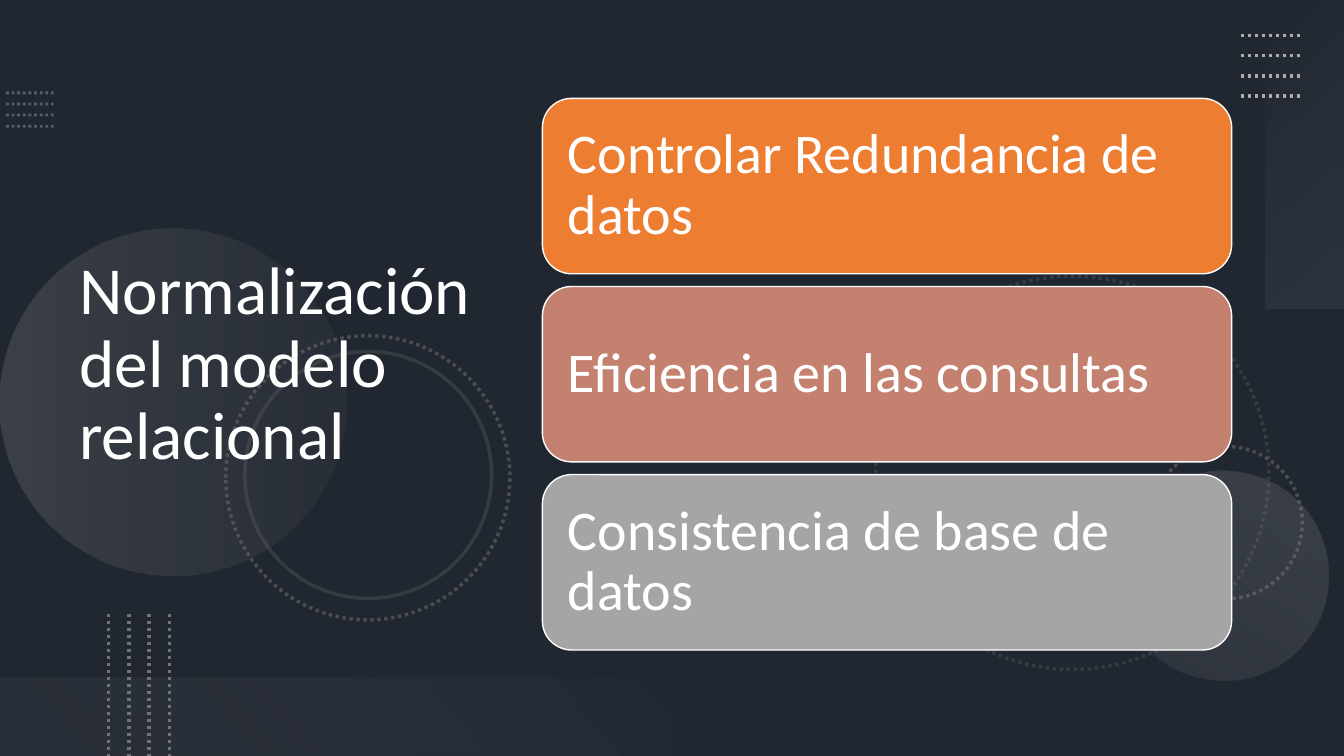
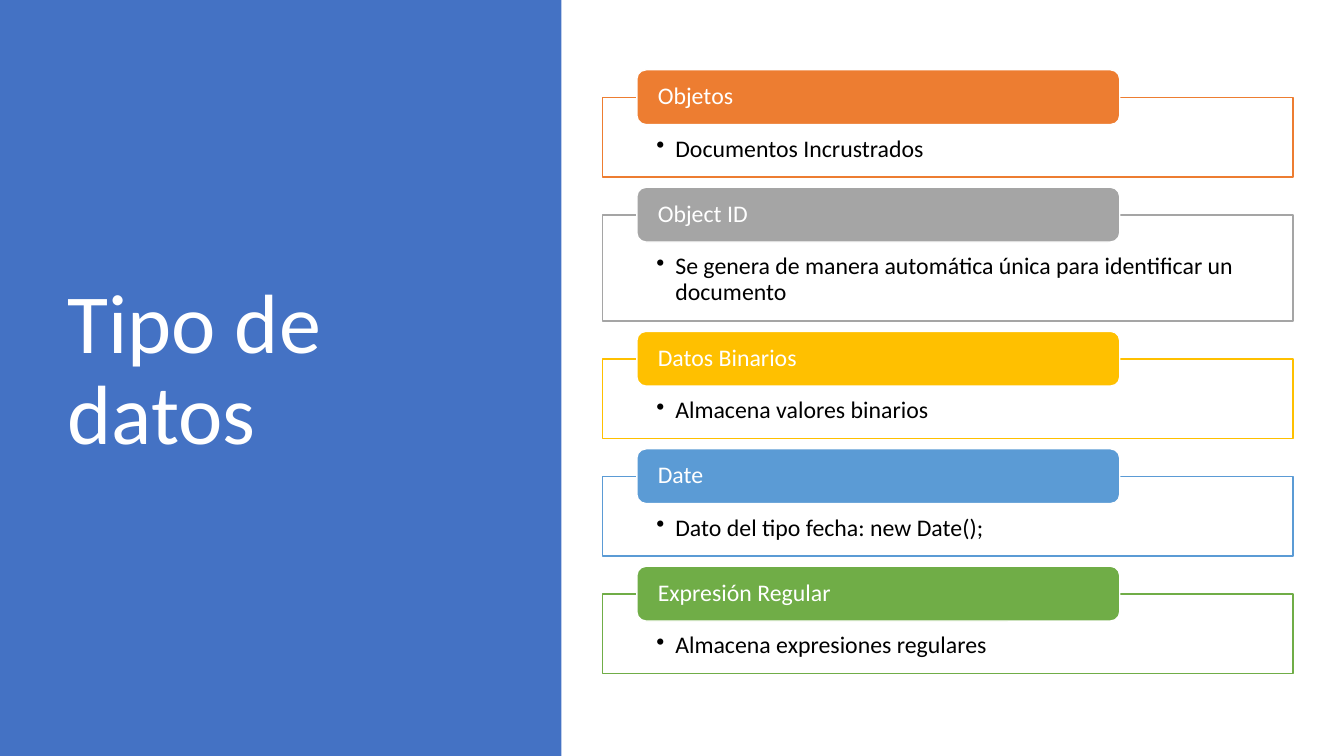
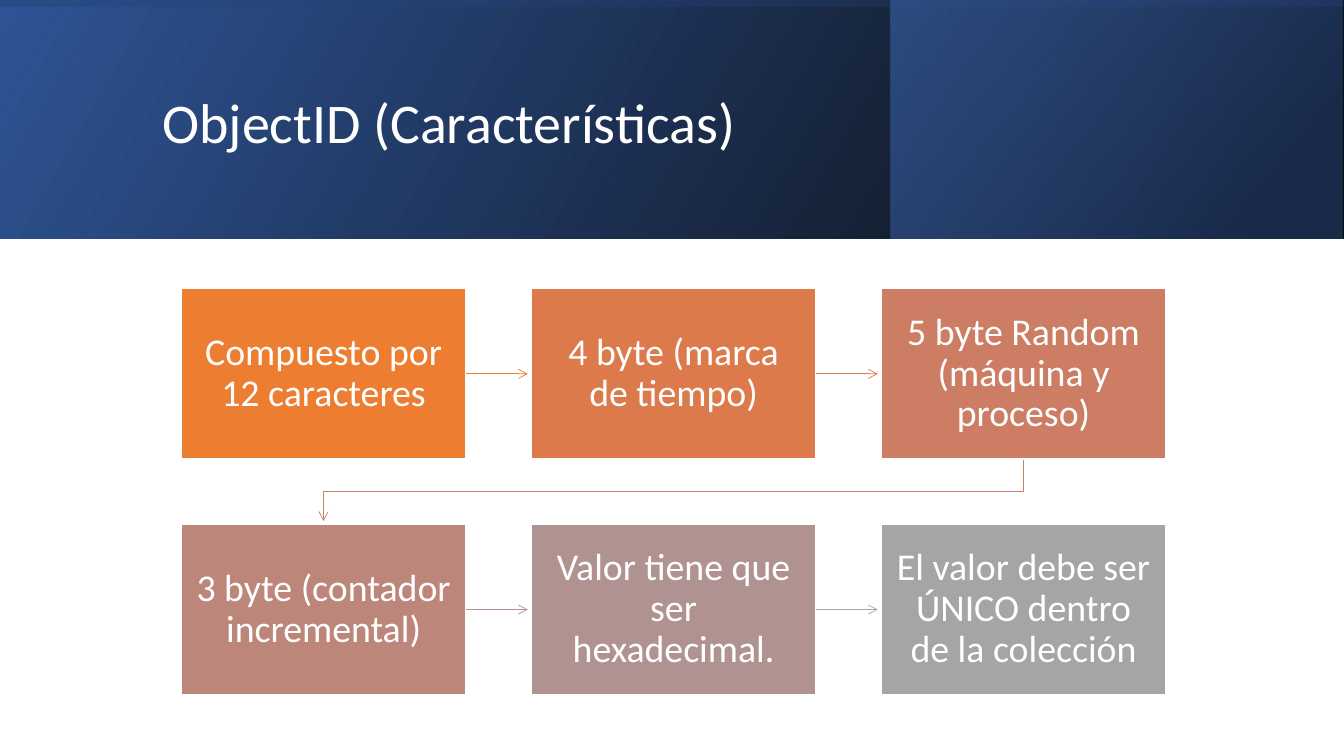
from dataclasses import dataclass

from lxml import etree
from pptx import Presentation
from pptx.dml.color import RGBColor
from pptx.enum.dml import MSO_LINE
from pptx.enum.shapes import MSO_CONNECTOR, MSO_SHAPE
from pptx.enum.text import MSO_ANCHOR, MSO_AUTO_SIZE, PP_ALIGN
from pptx.oxml.ns import qn
from pptx.util import Cm, Pt

DOTTED = MSO_LINE.ROUND_DOT
STRAIGHT = MSO_CONNECTOR.STRAIGHT
RECT = MSO_SHAPE.RECTANGLE
ROUND_RECT = MSO_SHAPE.ROUNDED_RECTANGLE
ELLIPSE = MSO_SHAPE.OVAL
TOP, MIDDLE = MSO_ANCHOR.TOP, MSO_ANCHOR.MIDDLE
LEFT, CENTER = PP_ALIGN.LEFT, PP_ALIGN.CENTER


@dataclass(frozen=True)
class Theme:
    font: str = "Calibri"
    width: float = 33.87
    height: float = 19.05
    white: str = "FFFFFF"
    black: str = "000000"
    slate: str = "44546A"
    haze: str = "8497B0"
    dark_gray: str = "767171"
    light_gray: str = "AFABAB"
    mist: str = "F5F5F5"
    blue: str = "4472C4"
    deep_blue: str = "2F5597"
    navy: str = "203864"
    orange: str = "ED7D31"
    clay: str = "C48170"
    gray: str = "A5A5A5"
    gold: str = "FFC000"
    sky: str = "5B9BD5"
    green: str = "70AD47"
    title_small: int = 40
    title_medium: int = 48
    title_large: int = 60
    card: int = 40
    step: int = 27
    item: int = 17


T = Theme()


def rgb(color):
    return RGBColor.from_string(color)


def fade(element, *alphas):
    for clr, alpha in zip(element.iter(qn("a:srgbClr")), alphas):
        etree.SubElement(clr, qn("a:alpha"), val=str(alpha * 1000))


def write(tf, text, size, color=T.white, align=LEFT, anchor=MIDDLE,
          margins=(0.25, 0.13, 0.25, 0.13), bullet=False):
    tf.word_wrap = True
    tf.auto_size = MSO_AUTO_SIZE.NONE
    tf.vertical_anchor = anchor
    tf.margin_left, tf.margin_top, tf.margin_right, tf.margin_bottom = map(Cm, margins)
    p = tf.paragraphs[0]
    p.alignment = align
    p.line_spacing = 0.9
    r = p.add_run()
    r.text = text
    r.font.name = T.font
    r.font.size = Pt(size)
    r.font.color.rgb = rgb(color)
    if bullet:
        pPr = p._p.get_or_add_pPr()
        pPr.set("marL", str(Cm(0.48)))
        pPr.set("indent", str(Cm(-0.48)))
        etree.SubElement(pPr, qn("a:buChar"), char="•")


class Deck:
    def __init__(self):
        self.prs = Presentation()
        self.prs.slide_width, self.prs.slide_height = Cm(T.width), Cm(T.height)
        self.s = None

    def slide(self, background):
        self.s = self.prs.slides.add_slide(self.prs.slide_layouts[5])
        fill = self.s.background.fill
        fill.solid()
        fill.fore_color.rgb = rgb(background)

    def title(self, text, x, y, w, h, size):
        sp = self.s.shapes.title
        sp.left, sp.top, sp.width, sp.height = map(Cm, (x, y, w, h))
        write(sp.text_frame, text, size)
        self.s.shapes._spTree.append(sp._element)

    def stroke(self, sp, color, width, dash=None, alpha=None, arrow=False):
        sp.line.color.rgb = rgb(color)
        sp.line.width = Pt(width)
        if dash:
            sp.line.dash_style = dash
        ln = sp._element.spPr.find(qn("a:ln"))
        if alpha:
            fade(ln, alpha)
        if arrow:
            etree.SubElement(ln, qn("a:tailEnd"), type="arrow")

    def shape(self, kind, x, y, w, h, fill=None, line=None, alpha=None):
        sp = self.s.shapes.add_shape(kind, *map(Cm, (x, y, w, h)))
        sp.shadow.inherit = False
        if fill:
            sp.fill.solid()
            sp.fill.fore_color.rgb = rgb(fill)
        else:
            sp.fill.background()
        if alpha:
            fade(sp._element.spPr, alpha)
        if line:
            self.stroke(sp, line, 1)
        else:
            sp.line.fill.background()
        return sp

    def gradient(self, kind, x, y, w, h, stops, angle, rotation=0, flip=False):
        sp = self.shape(kind, x, y, w, h)
        sp.rotation = rotation
        sp.fill.gradient()
        sp.fill.gradient_angle = 360 - angle
        for stop, (position, color, _) in zip(sp.fill.gradient_stops, stops):
            stop.position = position / 100
            stop.color.rgb = rgb(color)
        spPr = sp._element.spPr
        fade(spPr, *(alpha for _, _, alpha in stops))
        if flip:
            spPr.find(qn("a:xfrm")).set("flipH", "1")

    def ring(self, x, y, size, alpha, dash=DOTTED):
        sp = self.shape(ELLIPSE, x, y, size, size)
        self.stroke(sp, T.dark_gray, 2.5, dash, alpha)

    def line(self, x1, y1, x2, y2, color, width, **style):
        cx = self.s.shapes.add_connector(STRAIGHT, *map(Cm, (x1, y1, x2, y2)))
        self.stroke(cx, color, width, **style)
        etree.SubElement(cx._element.spPr, qn("a:effectLst"))

    def dotted_lines(self, x, y, dx, dy, step_x, step_y, color, width=2.5, alpha=None):
        for i in range(4):
            left, top = x + i * step_x, y + i * step_y
            self.line(left, top, left + dx, top + dy, color, width,
                      dash=DOTTED, alpha=alpha)

    def bent_arrow(self, points, color):
        start, *rest = [(Cm(x), Cm(y)) for x, y in points]
        path = self.s.shapes.build_freeform(*start)
        path.add_line_segments(rest, close=False)
        sp = path.convert_to_shape()
        sp.shadow.inherit = False
        sp.fill.background()
        self.stroke(sp, color, 0.5, arrow=True)

    def box(self, kind, x, y, w, h, text, size, fill, line=T.white, **style):
        sp = self.shape(kind, x, y, w, h, fill, line)
        write(sp.text_frame, text, size, **style)


def normalization(deck):
    deck.slide(T.slate)
    deck.shape(RECT, 0, 0, T.width, T.height, T.black, alpha=53)
    deck.dotted_lines(0.15, 2.34, 1.2, 0, 0, 0.28, T.haze, 2, 50)
    deck.ring(22.07, 6.96, 9.91, 25)
    deck.ring(28.98, 11.25, 3.84, 50)
    deck.gradient(ELLIPSE, 0, 5.77, 8.74, 8.74,
                  [(0, T.light_gray, 20), (100, T.dark_gray, 10)], 90, 270)
    deck.gradient(ELLIPSE, 28.19, 11.86, 5.28, 5.28,
                  [(0, T.light_gray, 10), (100, T.light_gray, 20)], 90, 210)
    deck.ring(5.69, 8.46, 7.16, 50)
    deck.ring(6.17, 8.86, 6.22, 25, None)
    deck.gradient(RECT, 29.01, 2.9, 7.77, 1.98,
                  [(0, T.mist, 0), (100, T.light_gray, 10)], 140, 270)
    deck.dotted_lines(31.27, 0.89, 1.52, 0, 0, 0.51, T.light_gray)
    deck.gradient(RECT, 0, 17.07, 16.94, 1.98,
                  [(10, T.dark_gray, 10), (100, T.mist, 0)], 140, 180)
    deck.dotted_lines(2.74, 15.47, 0, 3.58, 0.51, 0, T.dark_gray)
    deck.title("Normalización del modelo relacional", 1.75, 1.37, 11.66, 15.67,
               T.title_medium)
    goals = [("Controlar Redundancia de datos", T.orange),
             ("Eficiencia en las consultas", T.clay),
             ("Consistencia de base de datos", T.gray)]
    for i, (text, color) in enumerate(goals):
        deck.box(ROUND_RECT, 13.67, 2.48 + i * 4.74, 17.37, 4.42, text, T.card,
                 color, margins=(0.43,) * 4)


def data_types(deck):
    deck.slide(T.white)
    deck.shape(RECT, 0, 0, 14.15, T.height, T.blue)
    deck.title("Tipo de datos", 1.45, 1.73, 10.57, 15.29, T.title_large)
    types = [
        ("Objetos", "Documentos Incrustrados", T.orange, 2),
        ("Object ID", "Se genera de manera automática única para identificar un documento",
         T.gray, 2.67),
        ("Datos Binarios", "Almacena valores binarios", T.gold, 2),
        ("Date", "Dato del tipo fecha: new Date();", T.sky, 2),
        ("Expresión Regular", "Almacena expresiones regulares", T.green, 2),
    ]
    top, gap = 2.46, 0.96
    for name, detail, color, height in types:
        deck.box(RECT, 15.19, top, 17.4, height, detail, T.item, T.white, color,
                 color=T.black, anchor=TOP, margins=(1.35, 0.99, 1.35, 0.33),
                 bullet=True)
        deck.box(ROUND_RECT, 16.05, top - 0.7, 12.17, 1.38, name, T.item, color,
                 margins=(0.46, 0, 0.46, 0))
        top += height + gap


def object_id(deck):
    deck.slide(T.white)
    band = 6.02
    deck.gradient(RECT, 0, 0, T.width, band,
                  [(0, T.black, 96), (100, T.deep_blue, 100)], 330, flip=True)
    deck.gradient(RECT, 22.45, 0, 11.38, band,
                  [(19, T.navy, 68), (100, T.blue, 48)], 320, flip=True)
    deck.gradient(RECT, (T.width - band) / 2, (band - T.width) / 2, band, T.width,
                  [(23, T.deep_blue, 16), (99, T.black, 45)], 350, 270, flip=True)
    deck.title("ObjectID (Características)", 3.84, 0.97, 27, 4.37, T.title_small)
    steps = [("Compuesto por 12 caracteres", T.orange, T.orange),
             ("4 byte (marca de tiempo)", "DC7A4B", "D87A51"),
             ("5 byte Random (máquina y proceso)", "CC7D64", T.clay),
             ("3 byte (contador incremental)", "BD867B", "B4908B"),
             ("Valor tiene que ser hexadecimal.", "B09391", T.gray),
             ("El valor debe ser ÚNICO dentro de la colección", T.gray, None)]
    left, top, w, h = 4.57, 7.27, 7.17, 4.3
    pitch_x, pitch_y, columns = 8.82, 5.94, 3
    for i, (text, color, arrow) in enumerate(steps):
        row, column = divmod(i, columns)
        x, y = left + column * pitch_x, top + row * pitch_y
        if column < columns - 1:
            deck.line(x + w, y + h / 2, x + w + 1.56, y + h / 2, arrow, 0.5, arrow=True)
        elif arrow:
            start, end, bend = x + w / 2, left + w / 2, y + h + 0.82
            deck.bent_arrow([(start, y + h), (start, bend), (end, bend),
                             (end, y + pitch_y - 0.08)], arrow)
        deck.box(RECT, x, y, w, h, text, T.step, color, align=CENTER,
                 margins=(0.36, 0.38, 0.36, 0.38))


def main():
    deck = Deck()
    for build in (normalization, data_types, object_id):
        build(deck)
    deck.prs.save("out.pptx")


if __name__ == "__main__":
    main()
